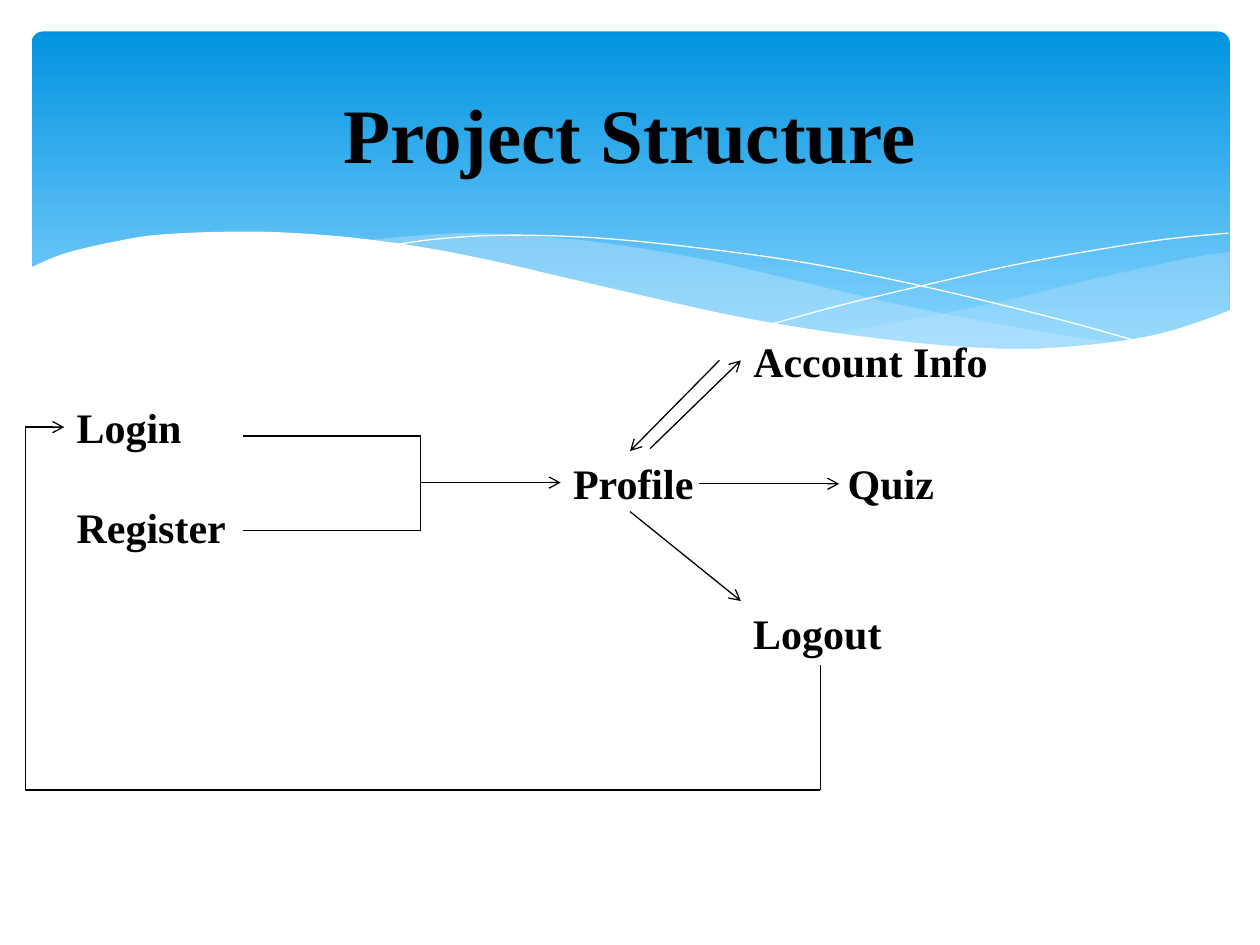
from lxml import etree
from pptx import Presentation
from pptx.dml.color import RGBColor
from pptx.enum.shapes import MSO_CONNECTOR, MSO_SHAPE
from pptx.enum.text import MSO_ANCHOR, MSO_AUTO_SIZE, PP_ALIGN
from pptx.oxml.ns import qn
from pptx.util import Inches, Pt

COLORS = {
    "sky": "0293E0",
    "light_sky": "83D3FE",
    "mist": "C6E7FC",
    "white": "FFFFFF",
    "ink": "000000",
}
FONT = "Times New Roman"


def smooth(points, steps=5):
    """Return a Catmull-Rom curve through the points."""
    padded = [points[0], *points, points[-1]]
    curve = [points[0]]
    for a, b, c, d in zip(padded, padded[1:], padded[2:], padded[3:]):
        for step in range(1, steps + 1):
            t = step / steps
            curve.append(tuple(
                0.5 * (2 * q + (r - p) * t + (2 * p - 5 * q + 4 * r - s) * t ** 2
                       + (3 * q - p - 3 * r + s) * t ** 3)
                for p, q, r, s in zip(a, b, c, d)))
    return curve


class StructureSlide:
    def __init__(self, deck):
        self.slide = deck.slides.add_slide(deck.slide_layouts[5])
        self.shapes = self.slide.shapes

    def color(self, name):
        return RGBColor.from_string(COLORS[name])

    def set_text(self, frame, text, size):
        frame.text = text
        font = frame.paragraphs[0].runs[0].font
        font.name, font.size, font.bold = FONT, Pt(size), True
        font.color.rgb = self.color("ink")

    def title(self, text, left, top, width, height):
        title = self.shapes.title
        title.left, title.top = Inches(left), Inches(top)
        title.width, title.height = Inches(width), Inches(height)
        self.set_text(title.text_frame, text, 44)
        title.text_frame.auto_size = MSO_AUTO_SIZE.NONE
        title.text_frame.vertical_anchor = MSO_ANCHOR.MIDDLE
        title.text_frame.paragraphs[0].alignment = PP_ALIGN.CENTER
        # Bring the title in front of the banner
        title.element.getparent().append(title.element)

    def banner(self, left, top, width, height):
        banner = self.shapes.add_shape(
            MSO_SHAPE.ROUNDED_RECTANGLE,
            Inches(left), Inches(top), Inches(width), Inches(height))
        banner.adjustments[0] = 0.034
        banner.shadow.inherit = False
        banner.line.fill.background()
        banner.fill.gradient()
        banner.fill.gradient_angle = 270
        stops = zip(banner.fill.gradient_stops, ("sky", "light_sky"), (0, 0.9))
        for stop, name, position in stops:
            stop.color.rgb = self.color(name)
            stop.position = position

    def outline(self, points, close):
        corners = [(Inches(x), Inches(y)) for x, y in points]
        builder = self.shapes.build_freeform(*corners[0])
        builder.add_line_segments(corners[1:], close=close)
        shape = builder.convert_to_shape()
        shape.shadow.inherit = False
        return shape

    def wave(self, points, fill, opacity=100):
        shape = self.outline(points, True)
        shape.line.fill.background()
        shape.fill.solid()
        shape.fill.fore_color.rgb = self.color(fill)
        if opacity < 100:
            tint = shape.element.spPr.find(qn("a:solidFill"))[0]
            etree.SubElement(tint, qn("a:alpha"), val=str(opacity * 1000))

    def strand(self, points):
        shape = self.outline(smooth(points), False)
        shape.fill.background()
        shape.line.color.rgb = self.color("white")
        shape.line.width = Pt(0)

    def label(self, text, left, top, width):
        box = self.shapes.add_textbox(
            Inches(left), Inches(top), Inches(width), Inches(0.5))
        self.set_text(box.text_frame, text, 24)
        box.text_frame.word_wrap = True
        box.text_frame.auto_size = MSO_AUTO_SIZE.SHAPE_TO_FIT_TEXT

    def line(self, start, end, arrow=False):
        connector = self.shapes.add_connector(
            MSO_CONNECTOR.STRAIGHT, *map(Inches, start + end))
        connector.line.color.rgb = self.color("ink")
        connector.line.width = Pt(0.75)
        properties = connector.element.spPr
        if arrow:
            etree.SubElement(properties.find(qn("a:ln")), qn("a:tailEnd"), type="arrow")
        etree.SubElement(properties, qn("a:effectLst"))

    def route(self, *points, arrow=False):
        for index, (start, end) in enumerate(zip(points, points[1:]), 2):
            self.line(start, end, arrow and index == len(points))


def draw_banner(page):
    page.banner(0.25, 0.25, 9.51, 2.7)

    # Translucent wave at the right edge
    right_top = [(9.76, 2), (9.48, 2.04), (9.06, 2.13), (8.61, 2.23),
                 (8.05, 2.37), (7.53, 2.48), (7.06, 2.57), (6.61, 2.65)]
    right_bottom = [(6.61, 2.65), (7.05, 2.71), (7.45, 2.75), (8.03, 2.78),
                    (8.44, 2.77), (8.81, 2.73), (9.13, 2.67), (9.42, 2.59),
                    (9.76, 2.47)]
    page.wave(smooth(right_top) + smooth(right_bottom), "mist", 29)

    # Translucent wave across the middle
    middle_top = [(8.93, 2.73), (8.37, 2.65), (7.75, 2.54), (7.06, 2.4),
                  (6.29, 2.22), (5.69, 2.08), (5.14, 1.98), (4.65, 1.91),
                  (4.2, 1.87), (3.8, 1.85), (3.44, 1.86), (2.86, 1.91)]
    middle_bottom = [(2.86, 1.91), (3.42, 1.99), (4.04, 2.11), (4.49, 2.22),
                     (5.3, 2.4), (6.01, 2.55), (6.65, 2.66), (7.22, 2.74),
                     (7.73, 2.77), (8.18, 2.78), (8.57, 2.77), (8.93, 2.73)]
    page.wave(smooth(middle_top) + smooth(middle_bottom), "mist", 40)

    # Fine white strands
    page.strand([(3.09, 1.95), (3.44, 1.9), (3.87, 1.87), (4.33, 1.87),
                 (4.89, 1.9), (5.56, 1.97), (6.36, 2.08), (7.27, 2.26),
                 (8.31, 2.51), (9.07, 2.72)])
    page.strand([(6.13, 2.57), (6.72, 2.41), (7.48, 2.23), (8.06, 2.1),
                 (8.66, 1.99), (9.24, 1.9), (9.75, 1.85)])

    # White wave that cuts off the banner
    edge = [(9.77, 2.46), (9.5, 2.56), (9.2, 2.65), (8.87, 2.71), (8.5, 2.75),
            (8.09, 2.77), (7.61, 2.75), (7.08, 2.7), (6.48, 2.62), (5.79, 2.5),
            (5.03, 2.33), (4.47, 2.2), (3.91, 2.07), (3.4, 1.97), (2.92, 1.9),
            (2.5, 1.86), (2.11, 1.84), (1.77, 1.84), (1.46, 1.85), (1.19, 1.87),
            (0.95, 1.91), (0.67, 1.97), (0.46, 2.03), (0.23, 2.13)]
    page.wave(smooth(edge) + [(0.23, 3.29), (9.77, 3.29)], "white")


def draw_flow(page):
    for text, left, top, width in (
            ("Login", 0.51, 3.14, 1.1),
            ("Register", 0.51, 3.93, 1.57),
            ("Profile", 4.45, 3.58, 1.26),
            ("Quiz", 6.63, 3.58, 1.26),
            ("Account Info", 5.88, 2.61, 2.12),
            ("Logout", 5.88, 4.77, 1.26)):
        page.label(text, left, top, width)

    # Login and Register join on the way to Profile
    page.route((1.93, 3.46), (3.34, 3.46), (3.34, 4.21), (1.93, 4.21))
    page.route((3.34, 3.83), (4.45, 3.83), arrow=True)

    # Profile to Quiz, Account Info and back, Logout
    page.route((5.55, 3.84), (6.66, 3.84), arrow=True)
    page.route((5.16, 3.56), (5.88, 2.86), arrow=True)
    page.route((5.71, 2.86), (5, 3.58), arrow=True)
    page.route((5, 4.06), (5.88, 4.77), arrow=True)

    # Logout leads back to Login
    page.route((6.51, 5.28), (6.51, 6.27), (0.2, 6.27), (0.2, 3.39),
               (0.51, 3.39), arrow=True)


def main():
    deck = Presentation()
    deck.slide_width, deck.slide_height = Inches(10), Inches(7.5)
    page = StructureSlide(deck)
    draw_banner(page)
    page.title("Project Structure", 0.5, 0.37, 9, 1.37)
    draw_flow(page)
    deck.save("out.pptx")


if __name__ == "__main__":
    main()
